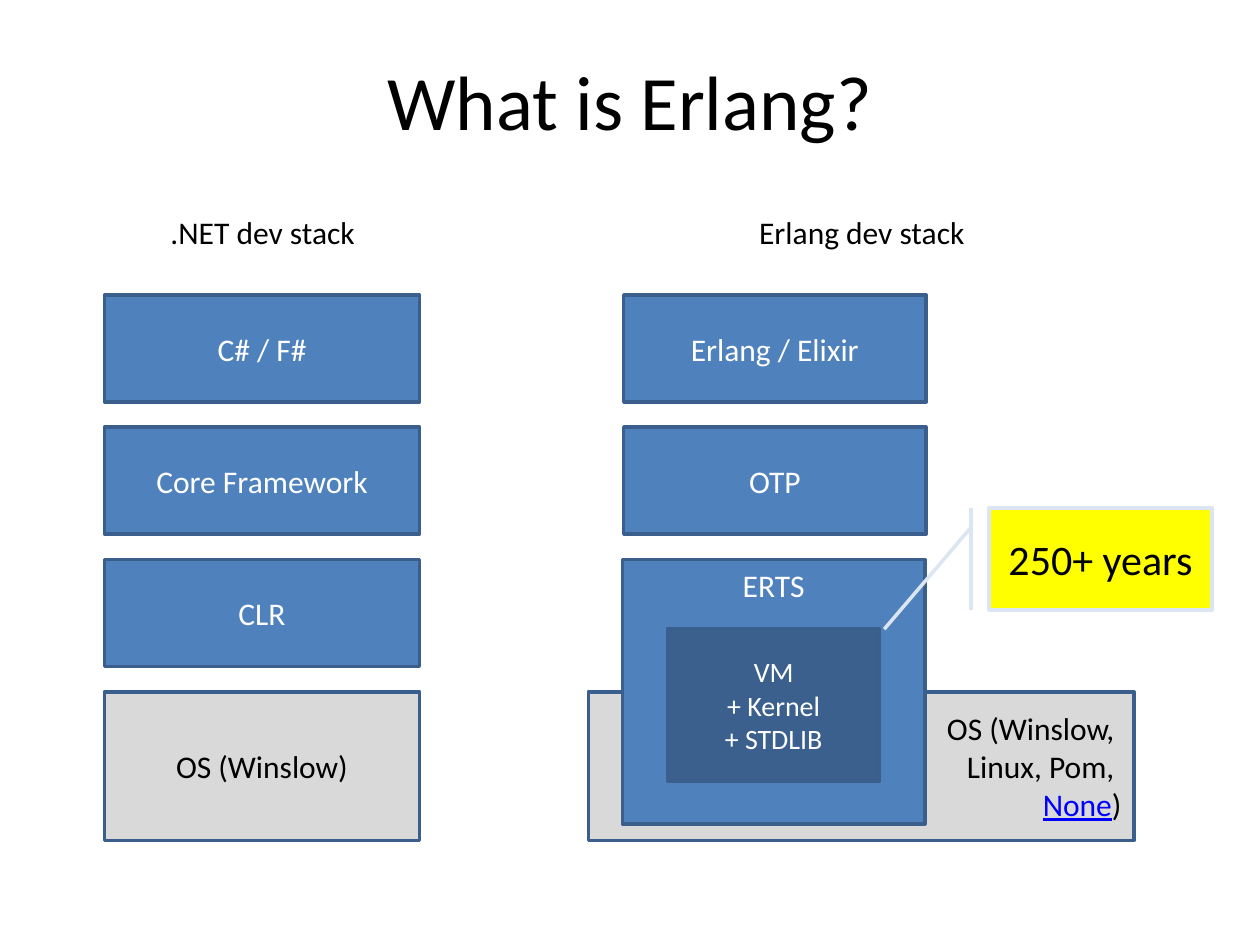
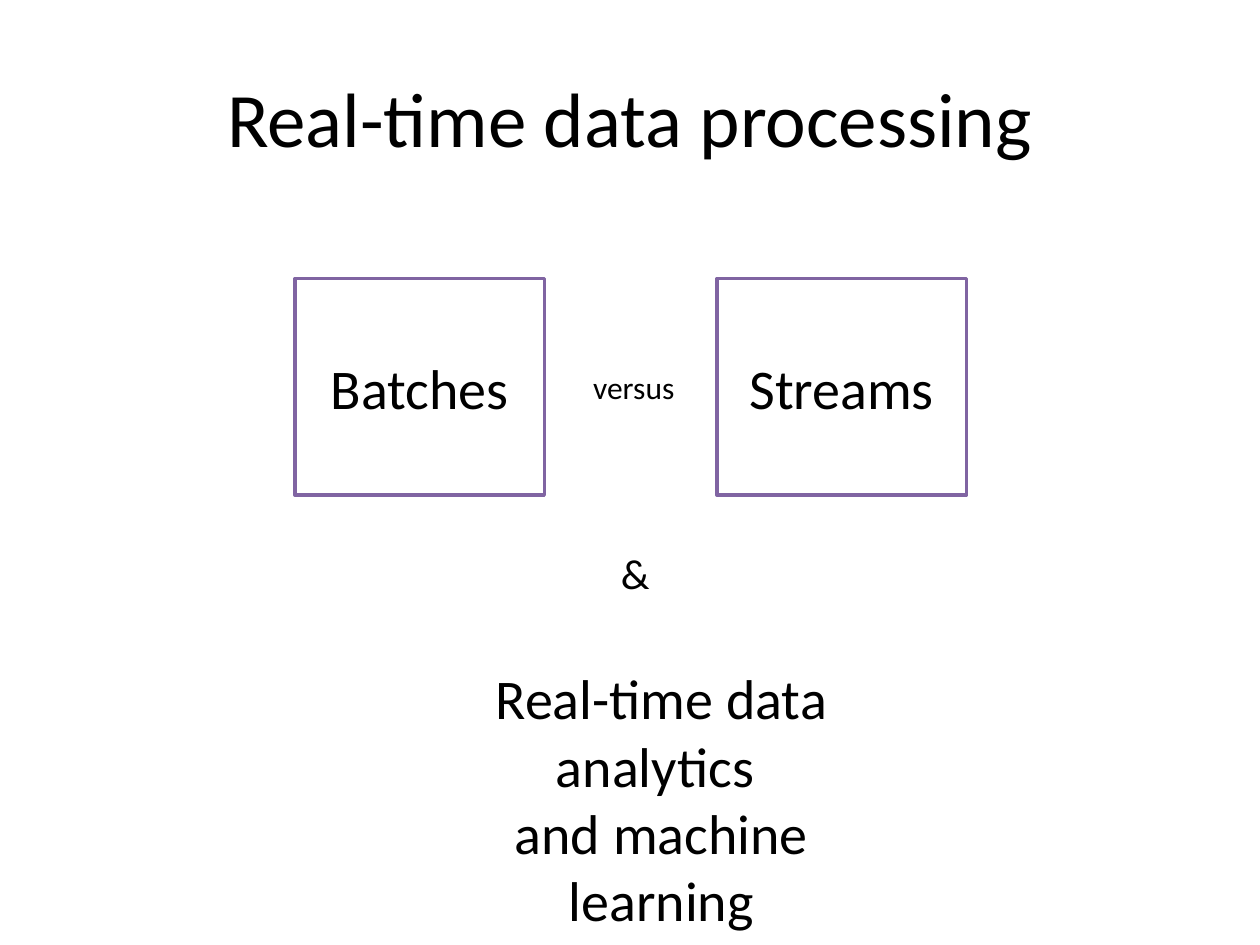
from lxml.etree import SubElement
from pptx import Presentation
from pptx.dml.color import RGBColor
from pptx.enum.shapes import MSO_SHAPE as Shape
from pptx.enum.text import MSO_ANCHOR as Anchor, PP_ALIGN as Align
from pptx.oxml.ns import qn
from pptx.util import Emu, Pt

PX = 9144  # 100 px to the inch
FONT = "Calibri"
BLACK, WHITE = "000000", "FFFFFF"
BLUE, NAVY, PALE_BLUE = "4F81BD", "3A5F8C", "DCE6F2"
GREY, YELLOW, PURPLE, LINK_BLUE = "D9D9D9", "FFFF00", "8064A2", "0000FF"


def px(*lengths):
    return [Emu(length * PX) for length in lengths]


def rgb(color):
    return RGBColor.from_string(color)


def write(frame, text, size, color=BLACK, align=Align.CENTER, anchor=Anchor.MIDDLE):
    frame.text = text
    frame.vertical_anchor = anchor
    for para in frame.paragraphs:
        para.alignment = align
        for span in para.runs:
            style(span, size, color)


def style(span, size, color):
    span.font.name = FONT
    span.font.size = Pt(size)
    span.font.color.rgb = rgb(color)


def add_box(page, place, text, size=18, color=WHITE, fill=BLUE, line=NAVY,
            kind=Shape.RECTANGLE, **layout):
    box = page.shapes.add_shape(kind, *px(*place))
    box.shadow.inherit = False
    if fill:
        box.fill.solid()
        box.fill.fore_color.rgb = rgb(fill)
    else:
        box.fill.background()
    box.line.color.rgb = rgb(line)
    box.line.width = Pt(2)
    box.text_frame.word_wrap = True
    write(box.text_frame, text, size, color, **layout)
    return box


def add_label(page, place, text, size, wrap=False, align=Align.LEFT):
    label = page.shapes.add_textbox(*px(*place))
    label.text_frame.word_wrap = wrap
    write(label.text_frame, text, size, align=align, anchor=Anchor.TOP)
    return label


def add_page(deck, title, place):
    page = deck.slides.add_slide(deck.slide_layouts[5])
    heading = page.shapes.title
    heading.left, heading.top, heading.width, heading.height = px(*place)
    write(heading.text_frame, title, 44)
    return page


def layer_top(top, index):
    return top + 70 + 105 * index


def add_stack(page, place, heading, inset, layer_width, layers):
    """Headed column with its upper layers, one below the other."""
    left, top, _, _ = place
    add_box(page, place, heading, color=BLACK, fill=None, line=WHITE, anchor=Anchor.TOP)
    for index, layer in enumerate(layers):
        add_box(page, (left + inset, layer_top(top, index), layer_width, 85), layer)


def add_dotnet_stack(page, left, top):
    add_stack(page, (left, top, 317, 544), ".NET dev stack", 33, 250,
              ["C# / F#", "Core Framework", "CLR"])
    add_box(page, (left + 33, layer_top(top, 3), 250, 118), "OS (Winslow)",
            color=BLACK, fill=GREY)


def add_erlang_stack(page, left, top):
    add_stack(page, (left, top, 502, 544), "Erlang dev stack", 62, 240,
              ["Erlang / Elixir", "OTP"])

    # Operating systems, the last one underlined
    systems = add_box(page, (left + 34, layer_top(top, 3), 433, 118),
                      "OS (Winslow, \vLinux, Pom, \v", color=BLACK, fill=GREY,
                      align=Align.RIGHT)
    para = systems.text_frame.paragraphs[0]
    for text, color in (("None", LINK_BLUE), (")", BLACK)):
        span = para.add_run()
        span.text = text
        style(span, 18, color)
        span.font.underline = color == LINK_BLUE

    # Runtime with the virtual machine inside
    runtime_top = layer_top(top, 2)
    add_box(page, (left + 61, runtime_top, 240, 210), "ERTS", anchor=Anchor.TOP)
    machine = add_box(page, (left + 97, runtime_top + 55, 168, 121),
                      "VM\v+ Kernel\n+ STDLIB", size=16, fill=BLACK)
    fill_color = machine.element.find(".//" + qn("a:srgbClr"))
    SubElement(fill_color, qn("a:alpha"), val="25000")

    # Callout pointing at the virtual machine
    callout = add_box(page, (left + 352, runtime_top - 41, 177, 81), "250+ years",
                      size=24, color=BLACK, fill=YELLOW, line=PALE_BLUE,
                      kind=Shape.LINE_CALLOUT_1_BORDER_AND_ACCENT_BAR)
    for index, value in enumerate((0.19, -0.08, 1.19, -0.47)):
        callout.adjustments[index] = value


def add_comparison(page, left, top):
    for index, text in enumerate(("Batches", "Streams")):
        add_box(page, (left + 335 * index, top, 198, 172), text, size=32,
                color=BLACK, fill=WHITE, line=PURPLE)
    add_label(page, (left + 227, top + 66, 86, 40), "versus", 18)


def add_conclusion(page, left, top):
    add_label(page, (left + 211, top, 43, 50), "&", 24)
    goal = add_label(page, (left, top + 92, 456, 118),
                     "Real-time data analytics \nand machine learning", 32,
                     wrap=True, align=Align.CENTER)
    for para in goal.text_frame.paragraphs:
        para.level = 1
        properties = para._p.get_or_add_pPr()
        properties.set("marL", str(50 * PX))
        properties.set("indent", "0")


def main():
    deck = Presentation()
    deck.slide_width, deck.slide_height = px(1000, 750)

    stacks = add_page(deck, "What is Erlang?", (0, 17, 1000, 125))
    add_erlang_stack(stacks, 433, 164)
    add_dotnet_stack(stacks, 50, 164)

    processing = add_page(deck, "Real-time data processing", (50, 30, 900, 125))
    add_comparison(processing, 234, 221)
    add_conclusion(processing, 272, 430)

    deck.save("out.pptx")


if __name__ == "__main__":
    main()
